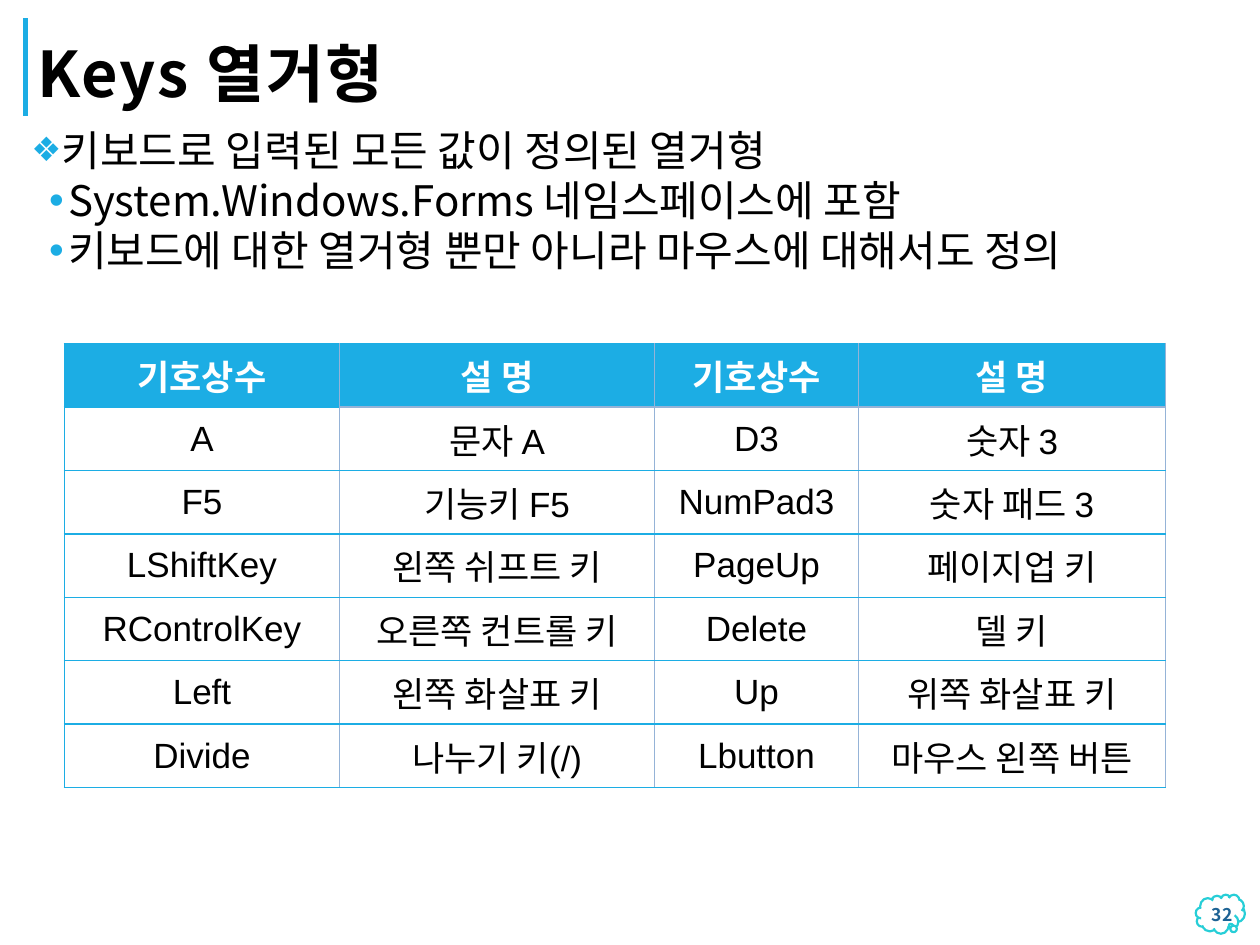
from dataclasses import dataclass

import pptx
import pptx.dml.color
import pptx.enum.dml
import pptx.enum.shapes
import pptx.enum.text
import pptx.oxml
import pptx.oxml.ns
import pptx.util
from lxml import etree

Pt = pptx.util.Pt
ALIGN = pptx.enum.text.PP_ALIGN
ANCHOR = pptx.enum.text.MSO_ANCHOR

COLORS = {
    "accent": "1CADE4", "grid": "95B3D7", "cloud": "27CED7",
    "number": "1D6294", "black": "000000", "white": "FFFFFF",
}
KOREAN = "Noto Sans CJK KR"


@dataclass
class Bullet:
    text: str
    mark: str
    percent: int
    margin: float
    hang: float
    level: int = 0


BULLETS = [
    Bullet("키보드로 입력된 모든 값이 정의된 열거형", "❖", 80, 17.3, 17.3),
    Bullet("System.Windows.Forms 네임스페이스에 포함", "•", 100, 20.9, 10.8, 1),
    Bullet("키보드에 대한 열거형 뿐만 아니라 마우스에 대해서도 정의", "•", 100, 20.9, 10.8, 1),
]
KEY_ROWS = [
    ("기호상수", "설 명", "기호상수", "설 명"),
    ("A", "문자 A", "D3", "숫자 3"),
    ("F5", "기능키 F5", "NumPad3", "숫자 패드 3"),
    ("LShiftKey", "왼쪽 쉬프트 키", "PageUp", "페이지업 키"),
    ("RControlKey", "오른쪽 컨트롤 키", "Delete", "델 키"),
    ("Left", "왼쪽 화살표 키", "Up", "위쪽 화살표 키"),
    ("Divide", "나누기 키(/)", "Lbutton", "마우스 왼쪽 버튼"),
]
COLUMN_WIDTHS = [157.3, 180, 116.5, 175.5]
ROW_HEIGHT = 36.25


def rgb(color: str) -> pptx.dml.color.RGBColor:
    return pptx.dml.color.RGBColor.from_string(COLORS[color])


def add_element(parent, tag: str, **attributes: str):
    element = etree.SubElement(parent, pptx.oxml.ns.qn(tag))
    for key, value in attributes.items():
        element.set(key, value)
    return element


def format_text(para, size: float, color: str, bold: bool = False,
                latin: str = KOREAN, spacing: float = 0) -> None:
    for span in para.runs:
        span.font.size = Pt(size)
        span.font.bold = bold
        span.font.color.rgb = rgb(color)
        span.font.name = latin
        properties = span.font._element
        add_element(properties, "a:ea", typeface=KOREAN)
        if spacing:
            properties.set("spc", str(round(spacing * 100)))


def add_bullet(para, bullet: Bullet) -> None:
    properties = para._p.get_or_add_pPr()
    properties.set("marL", str(Pt(bullet.margin)))
    properties.set("indent", str(-Pt(bullet.hang)))
    color = add_element(properties, "a:buClr")
    add_element(color, "a:srgbClr", val=COLORS["accent"])
    add_element(properties, "a:buSzPct", val=str(bullet.percent * 1000))
    add_element(properties, "a:buFont", typeface="Arial")
    add_element(properties, "a:buChar", char=bullet.mark)


def add_border(cell, side: str, color: str) -> None:
    line = add_element(cell._tc.get_or_add_tcPr(), f"a:ln{side}", w=str(Pt(1)))
    fill = add_element(line, "a:solidFill")
    add_element(fill, "a:srgbClr", val=COLORS[color])


def format_cell(cell, text: str, row: int, column: int) -> None:
    header = row == 0
    cell.text_frame.text = text
    cell.vertical_anchor = ANCHOR.MIDDLE
    para = cell.text_frame.paragraphs[0]
    para.alignment = ALIGN.CENTER
    format_text(para, 20, "white" if header else "black", header, "Arial")
    first = column == 0
    add_border(cell, "L", "accent" if first else "grid")
    add_border(cell, "R", "grid")
    add_border(cell, "T", "grid" if row == 1 and not first else "accent")
    add_border(cell, "B", "grid" if header and not first else "accent")
    cell.fill.solid()
    cell.fill.fore_color.rgb = rgb("accent" if header else "white")


def draw_decoration(page) -> None:
    bar = page.shapes.add_connector(
        pptx.enum.shapes.MSO_CONNECTOR.STRAIGHT, Pt(14.4), Pt(66.2), Pt(14.4), Pt(10.1))
    bar.line.color.rgb = rgb("accent")
    bar.line.width = Pt(3)
    add_element(bar._element.spPr, "a:effectLst")

    cloud = page.shapes.add_shape(
        pptx.enum.shapes.MSO_SHAPE.CLOUD_CALLOUT, Pt(683.3), Pt(511.2), Pt(28.1), Pt(22.3))
    cloud.adjustments[0] = 0.2
    cloud.adjustments[1] = 0.28
    cloud.shadow.inherit = False
    cloud.fill.solid()
    cloud.fill.fore_color.rgb = rgb("white")
    cloud.line.color.rgb = rgb("cloud")
    cloud.line.width = Pt(1.25)


def draw_title(page) -> None:
    title = page.shapes.title
    title.left, title.top, title.width, title.height = Pt(14.4), Pt(10.1), Pt(573.8), Pt(56.2)
    title.text_frame.text = "Keys 열거형"
    title.text_frame.vertical_anchor = ANCHOR.BOTTOM
    para = title.text_frame.paragraphs[0]
    para.alignment = ALIGN.LEFT
    para.line_spacing = 0.8
    format_text(para, 36, "black", True, spacing=1)


def draw_bullets(page) -> None:
    box = page.shapes.add_textbox(Pt(14.4), Pt(70.6), Pt(692), Pt(120))
    frame = box.text_frame
    frame.word_wrap = True
    frame.margin_left = frame.margin_right = Pt(3.6)
    frame.margin_top = frame.margin_bottom = Pt(3.6)
    for index, bullet in enumerate(BULLETS):
        para = frame.paragraphs[0] if index == 0 else frame.add_paragraph()
        para.text = bullet.text
        para.level = bullet.level
        add_bullet(para, bullet)
        para.line_spacing = 0.9
        para.space_after = Pt(2.7)
        format_text(para, 24, "black")


def draw_key_table(page) -> None:
    frame = page.shapes.add_table(
        len(KEY_ROWS), len(COLUMN_WIDTHS), Pt(36.8), Pt(196.4),
        Pt(sum(COLUMN_WIDTHS)), Pt(ROW_HEIGHT * len(KEY_ROWS)))
    table = frame.table
    for column, width in zip(table.columns, COLUMN_WIDTHS):
        column.width = Pt(width)
    for row, texts in enumerate(KEY_ROWS):
        table.rows[row].height = Pt(ROW_HEIGHT)
        for column, text in enumerate(texts):
            format_cell(table.cell(row, column), text, row, column)


def draw_page_number(page) -> None:
    box = page.shapes.add_textbox(Pt(666), Pt(510.5), Pt(45.4), Pt(24.5))
    box.text_frame.word_wrap = True
    box.text_frame.text = "32"
    box.text_frame.vertical_anchor = ANCHOR.MIDDLE
    para = box.text_frame.paragraphs[0]
    para.alignment = ALIGN.RIGHT
    format_text(para, 10, "number", True)


def main() -> None:
    deck = pptx.Presentation()
    deck.slide_width, deck.slide_height = Pt(720), Pt(540)
    page = deck.slides.add_slide(deck.slide_layouts[5])  # title only
    draw_decoration(page)
    draw_title(page)
    draw_bullets(page)
    draw_key_table(page)
    draw_page_number(page)
    deck.save("out.pptx")


if __name__ == "__main__":
    main()
